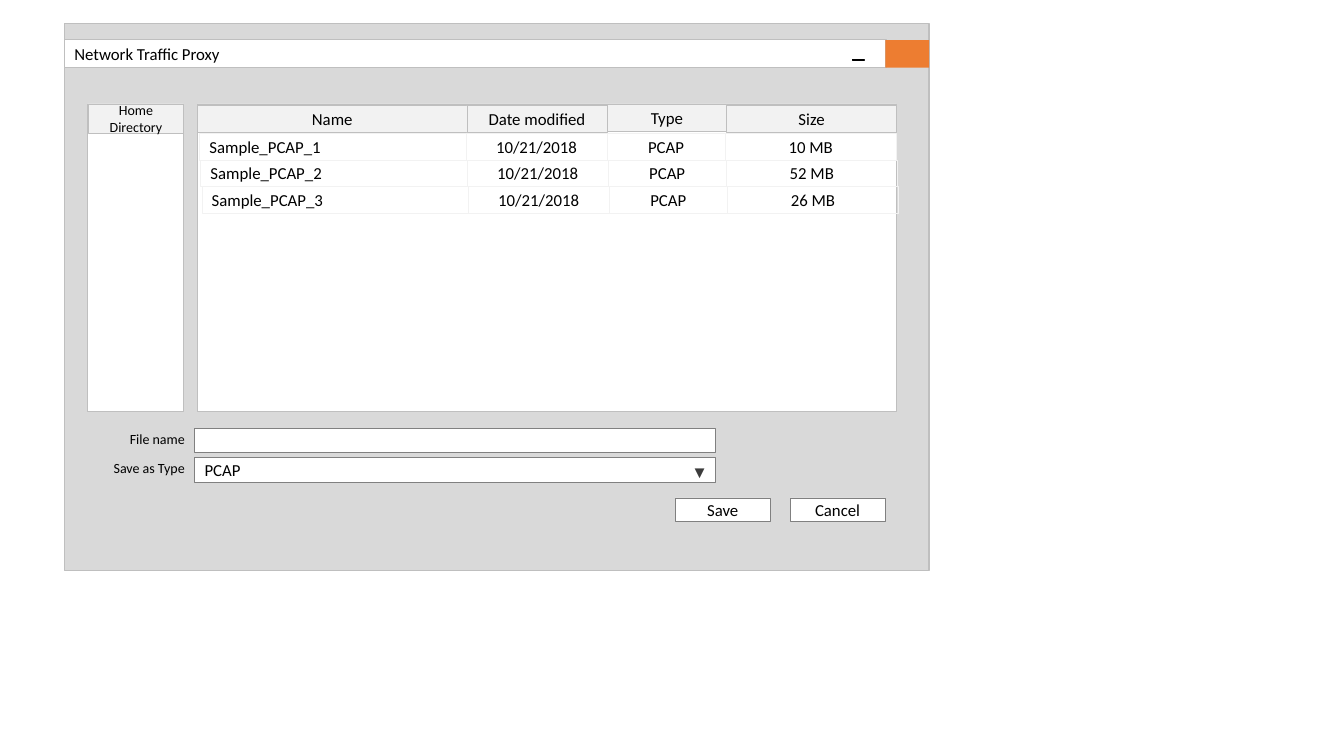
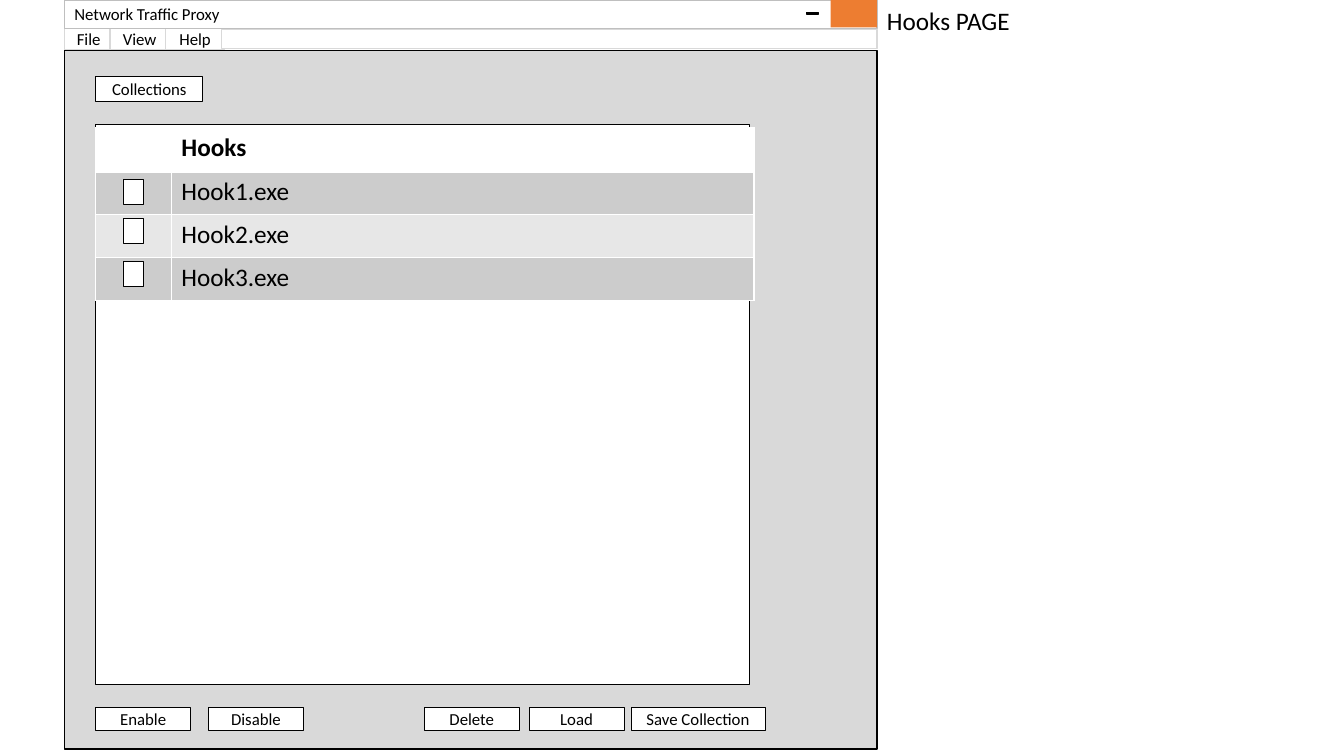
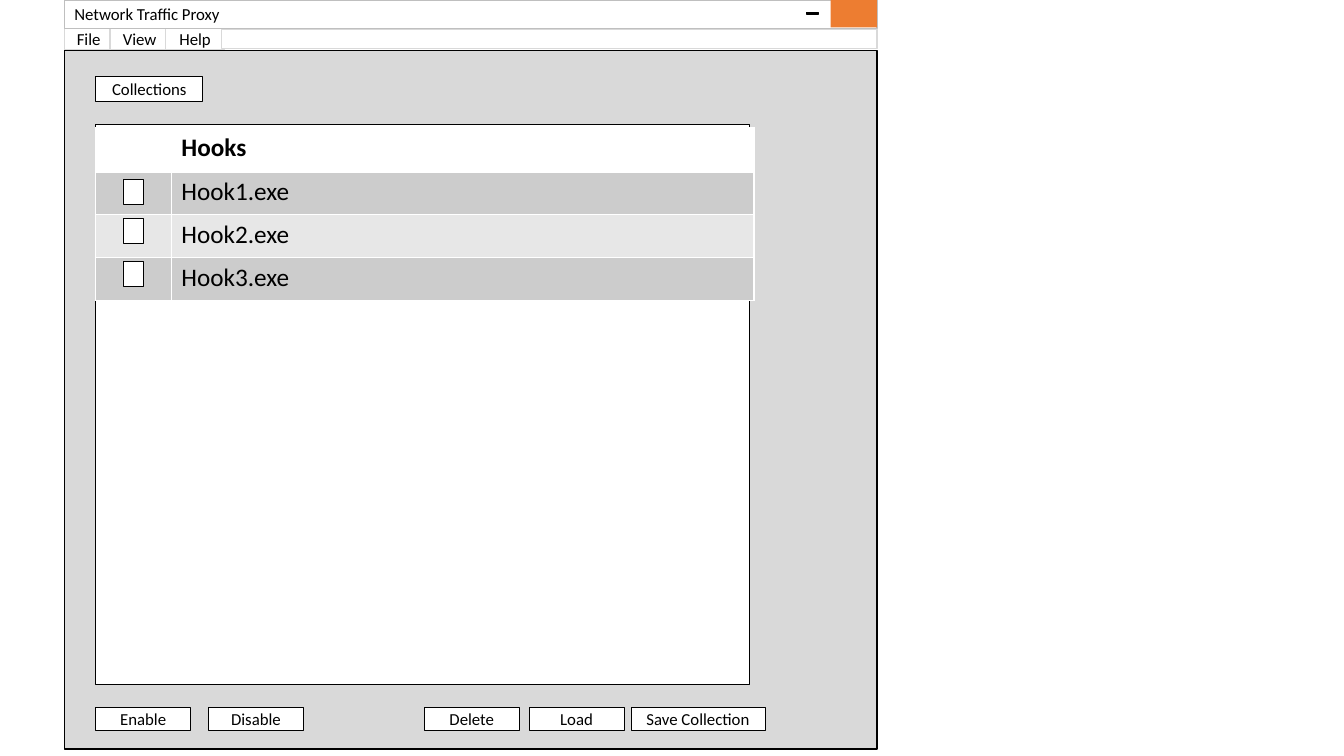
from itertools import pairwise

from lxml import etree
from pptx import Presentation
from pptx.dml.color import RGBColor
from pptx.enum import shapes as kinds, text as styles
from pptx.oxml import ns
from pptx.util import Pt

BLACK, WHITE, ORANGE = "000000", "FFFFFF", "ED7D31"
PALE, GREY, SILVER, MID = "F2F2F2", "D9D9D9", "BFBFBF", "808080"
LEFT, CENTER, RIGHT = styles.PP_ALIGN.LEFT, styles.PP_ALIGN.CENTER, styles.PP_ALIGN.RIGHT
RECT, MINUS = kinds.MSO_SHAPE.RECTANGLE, kinds.MSO_SHAPE.MATH_MINUS


def write(frame, words, size=12, align=LEFT, color=BLACK, font="Calibri", bold=False):
    para = frame.paragraphs[0]
    para.text = words
    para.alignment = align
    para.font.name = font
    para.font.size = Pt(size)
    para.font.bold = bold
    para.font.color.rgb = RGBColor.from_string(color)


def box(holder, area, fill=None, line=None, width=0.5, words="", kind=RECT, **style):
    """Draw a shape, or a plain text box when it has neither fill nor line."""
    place = [Pt(length) for length in area]
    if fill or line:
        shape = holder.shapes.add_shape(kind, *place)
        shape.shadow.inherit = False
        shape.text_frame.vertical_anchor = styles.MSO_ANCHOR.MIDDLE
    else:
        shape = holder.shapes.add_textbox(*place)
    for paint, color in ((shape.fill, fill), (shape.line.fill, line)):
        if color:
            paint.solid()
            paint.fore_color.rgb = RGBColor.from_string(color)
        else:
            paint.background()
    if line:
        shape.line.width = Pt(width)
    shape.text_frame.word_wrap = True
    if words:
        write(shape.text_frame, words, **style)


deck = Presentation()
deck.slide_width, deck.slide_height = Pt(960), Pt(540)
save_page, titled_page, hooks_page = [
    deck.slides.add_slide(deck.slide_layouts[6]) for _ in range(3)]

# Save dialog: window and file list
box(save_page, (46, 16.7, 617.6, 391), GREY, SILVER, 1)
box(save_page, (141.2, 74.2, 499, 219.6), WHITE, SILVER)
header_edges = (141.2, 333.5, 433.7, 519, 640.5)
headers = ("Name", "Date modified", "Type", "Size")
for (start, end), words in zip(pairwise(header_edges), headers):
    top = 74.4 if words == "Type" else 75.2
    box(save_page, (start, top, end - start, 19.6), PALE, SILVER, 0.25, words, align=CENTER)

# Each file row sits slightly to the right of the one above
row_edges = (142.5, 333, 433.5, 518, 640.3)
for index, size in enumerate(("10 MB", "52 MB", "26 MB")):
    row = save_page.shapes.add_group_shape()
    cells = (f"Sample_PCAP_{index + 1}", "10/21/2018", "PCAP", size)
    for (start, end), words in zip(pairwise(row_edges), cells):
        box(row, (start + 0.8 * index, 95.2 + 18.9 * index, end - start, 19.2),
            None, PALE, 0.25, words, align=LEFT if start == row_edges[0] else CENTER)

# Save dialog: directory pane, fields and buttons
box(save_page, (62.6, 74.2, 68.4, 219.6), WHITE, SILVER)
box(save_page, (63.2, 74.2, 67.8, 20.8), PALE, SILVER, 0.25, "Home Directory",
    size=10, align=CENTER)
for label, top, words in (("File name", 306, ""), ("Save as Type", 327, "PCAP")):
    box(save_page, (139, top, 372, 17.3), WHITE, MID, words=words)
    box(save_page, (70.5, top - 2, 68.5, 19.4), words=label, size=10, align=RIGHT)
box(save_page, (489, 326.2, 27.4, 21.6), words="▼", color="3C3C3C", font="Noto Sans Mono")
for left, words in ((482.4, "Save"), (564.5, "Cancel")):
    box(save_page, (left, 355.7, 67.7, 16.6), WHITE, MID, words=words, align=CENTER)

# Hooks windows
box(titled_page, (626.4, 0, 257.8, 28.8), words="Hooks PAGE", size=18)
buttons = (
    ("Collections", 68.4, 54.7, 76.5, 18),
    ("Enable", 68.4, 505.4, 67.8, 16.6),
    ("Disable", 149, 505.4, 67.8, 16.6),
    ("Delete", 303.1, 505.4, 67.8, 16.6),
    ("Load", 378, 505.4, 67.8, 16.6),
    ("Save Collection", 450.7, 505.4, 95.8, 16.6),
)
menus = (("File", 46, 34.6), ("View", 78.5, 42.5), ("Help", 118.1, 42.5))
hook_rows = (("Hooks", WHITE), ("Hook1.exe", "CCCCCC"),
             ("Hook2.exe", "E7E7E7"), ("Hook3.exe", "CCCCCC"))
for page in (titled_page, hooks_page):
    box(page, (46, 36, 580.4, 499), GREY, BLACK, 1)
    box(page, (68.4, 88.6, 466.6, 400.3), WHITE, BLACK)
    for words, *area in buttons:
        box(page, area, WHITE, BLACK, words=words, align=CENTER)

    # Hook table with white rules
    table = page.shapes.add_table(4, 2, Pt(68.4), Pt(91.4), Pt(470.2), Pt(123.2)).table
    table.columns[0].width, table.columns[1].width = Pt(54), Pt(416.2)
    for index, (words, fill) in enumerate(hook_rows):
        table.rows[index].height = Pt(30.8)
        for cell in table.rows[index].cells:
            properties = cell._tc.get_or_add_tcPr()
            for side in "LRTB":
                thick = (index, side) in ((0, "B"), (1, "T"))
                rule = etree.SubElement(properties, ns.qn(f"a:ln{side}"),
                                        w=str(Pt(3 if thick else 1)))
                paint = etree.SubElement(rule, ns.qn("a:solidFill"))
                etree.SubElement(paint, ns.qn("a:srgbClr"), val=WHITE)
            cell.fill.solid()
            cell.fill.fore_color.rgb = RGBColor.from_string(fill)
        write(table.cell(index, 1).text_frame, words, size=18, bold=index == 0)
    for top in (128.2, 156.2, 186.5):
        box(page, (87.8, top, 14.6, 18), WHITE, BLACK)

    # Menu bar
    for words, left, width in menus:
        box(page, (left, 20.2, width, 15.1), WHITE, GREY, 1, words, align=CENTER)
    box(page, (158.4, 20.9, 468, 13.7), WHITE, GREY, 1)

# Title bars: bar, close button and minimise mark
dialog_bar = ((46, 28.2, 586.8, 20.2), (632.4, 28.7, 31.2, 19.6), (607.7, 41, 10.8, 3.6))
hooks_bar = ((46, 0, 580.4, 20.2), (593.3, 0, 33.1, 19.6), (574.6, 7.7, 11.5, 3.6))
for page, (bar, close, minimise) in (
        (save_page, dialog_bar), (titled_page, hooks_bar), (hooks_page, hooks_bar)):
    box(page, bar, WHITE, SILVER, 1, "Network Traffic Proxy")
    box(page, close, ORANGE)
    box(page, minimise, BLACK, BLACK, 1, kind=MINUS)

deck.save("out.pptx")
